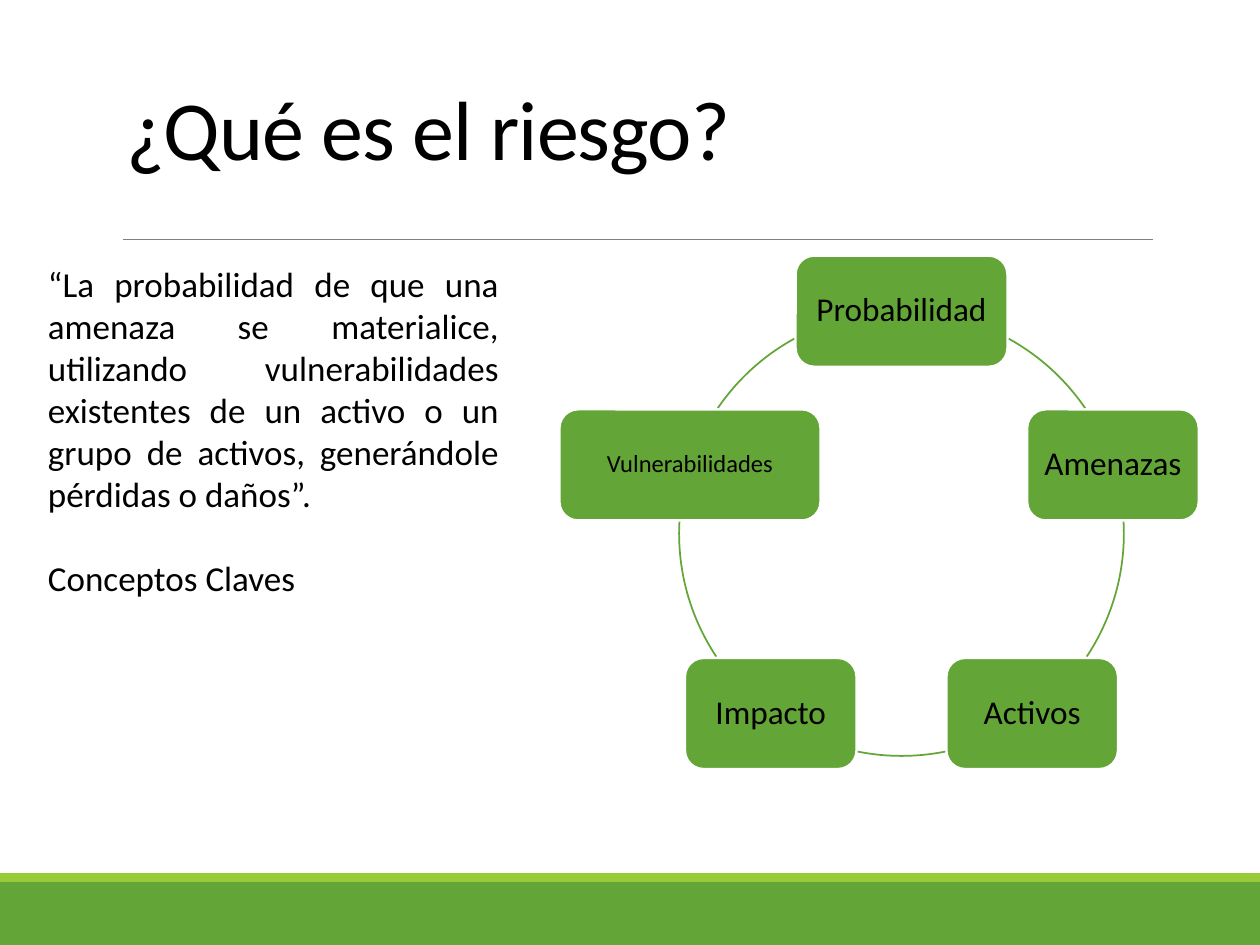
from math import cos, sin, radians

from pptx import Presentation
from pptx.dml.color import RGBColor
from pptx.enum.shapes import MSO_CONNECTOR as CONNECTOR, MSO_SHAPE as SHAPE
from pptx.enum.text import MSO_ANCHOR as ANCHOR, MSO_AUTO_SIZE as AUTO_SIZE, PP_ALIGN as ALIGN
from pptx.oxml.ns import qn
from pptx.util import Inches, Pt

GREEN = RGBColor(0x63, 0xA5, 0x37)
LIME = RGBColor(0x99, 0xCB, 0x38)
GRAY = RGBColor(0x80, 0x80, 0x80)
BLACK = RGBColor(0, 0, 0)
WHITE = RGBColor(0xFF, 0xFF, 0xFF)
FONT = "Calibri"

DEFINITION = (
    "“La probabilidad de que una amenaza se materialice, utilizando "
    "vulnerabilidades existentes de un activo o un grupo de activos, "
    "generándole pérdidas o daños”."
)
# Label, box width, text size; clockwise from the top
CONCEPTS = [
    ("Probabilidad", 1.68, 19),
    ("Amenazas", 1.36, 19),
    ("Activos", 1.36, 19),
    ("Impacto", 1.36, 19),
    ("Vulnerabilidades", 2.07, 14),
]
# Start and end angle of each arc, clockwise from the right
ARCS = [(298.8, 325.7), (356.9, 33.6), (78.6, 101.4), (146.4, 183.1), (214.3, 241.2)]


def place(shape, left, top, width, height):
    shape.left, shape.top = Inches(left), Inches(top)
    shape.width, shape.height = Inches(width), Inches(height)


def add_run(paragraph, text, size):
    run = paragraph.add_run()
    run.text = text
    run.font.name, run.font.size = FONT, Pt(size)
    run.font.color.rgb = BLACK
    return run


def add_block(slide, kind, left, top, width, height, fill):
    block = slide.shapes.add_shape(
        kind, Inches(left), Inches(top), Inches(width), Inches(height))
    block.shadow.inherit = False
    block.fill.solid()
    block.fill.fore_color.rgb = fill
    block.line.fill.background()
    return block


def add_frame(slide, width, height):
    # Footer bands
    add_block(slide, SHAPE.RECTANGLE, 0, height - 0.5, width, 0.5, GREEN)
    add_block(slide, SHAPE.RECTANGLE, 0, height - 0.57, width, 0.07, LIME)
    # Rule under the title
    rule = slide.shapes.add_connector(
        CONNECTOR.STRAIGHT, Inches(0.98), Inches(1.9), Inches(9.15), Inches(1.9))
    rule.line.color.rgb, rule.line.width = GRAY, Pt(0.5)
    properties = rule.line._get_or_add_ln().getparent()
    properties.append(properties.makeelement(qn("a:effectLst"), {}))


def fill_title(slide, left, top, width, height):
    title = slide.shapes.title
    place(title, left, top, width, height)
    frame = title.text_frame
    frame.auto_size, frame.vertical_anchor = AUTO_SIZE.NONE, ANCHOR.BOTTOM
    heading = frame.paragraphs[0]
    heading.alignment, heading.line_spacing = ALIGN.LEFT, 0.85
    run = add_run(heading, "¿Qué es el riesgo?", 48)
    run.font._element.set("spc", "-50")


def fill_definition(slide, left, top, width, height):
    body = slide.placeholders[1]
    place(body, left, top, width, height)
    frame = body.text_frame
    frame.auto_size = AUTO_SIZE.NONE
    for index, (text, gap) in enumerate([(DEFINITION, 0), ("Conceptos Claves", 24)]):
        paragraph = frame.add_paragraph() if index else frame.paragraphs[0]
        paragraph.alignment = ALIGN.JUSTIFY
        paragraph.space_before, paragraph.space_after = Pt(gap), Pt(0)
        # No bullet, no indent
        settings = paragraph._p.get_or_add_pPr()
        settings.set("marL", "0")
        settings.set("indent", "0")
        settings.append(settings.makeelement(qn("a:buNone"), {}))
        add_run(paragraph, text, 20)


def add_concept(slide, center_x, center_y, label, width, size):
    height = 0.88
    concept = add_block(slide, SHAPE.ROUNDED_RECTANGLE, center_x - width / 2,
                        center_y - height / 2, width, height, GREEN)
    concept.line.color.rgb, concept.line.width = WHITE, Pt(1.25)
    frame = concept.text_frame
    frame.word_wrap, frame.vertical_anchor = True, ANCHOR.MIDDLE
    inset = Inches(0.08)
    frame.margin_left = frame.margin_right = inset
    frame.margin_top = frame.margin_bottom = inset
    paragraph = frame.paragraphs[0]
    paragraph.alignment, paragraph.line_spacing = ALIGN.CENTER, 0.9
    add_run(paragraph, label, size)


def add_cycle(slide, left, top, diameter):
    radius = diameter / 2
    # Arcs between the concepts
    for angles in ARCS:
        arc = slide.shapes.add_shape(
            SHAPE.ARC, Inches(left), Inches(top), Inches(diameter), Inches(diameter))
        arc.shadow.inherit = False
        arc.fill.background()
        arc.line.color.rgb, arc.line.width = GREEN, Pt(1)
        for index, angle in enumerate(angles):
            arc.adjustments[index] = angle * 0.6  # 60000ths of a degree / 100000
    # Concepts evenly spaced on the circle
    for index, concept in enumerate(CONCEPTS):
        angle = radians(360 / len(CONCEPTS) * index - 90)
        add_concept(slide, left + radius * (1 + cos(angle)),
                    top + radius * (1 + sin(angle)), *concept)


def build():
    deck = Presentation()
    deck.slide_width, deck.slide_height = Inches(10), Inches(7.5)
    slide = deck.slides.add_slide(deck.slide_layouts[1])
    add_frame(slide, 10, 7.5)
    fill_title(slide, 0.9, 0.31, 8.25, 1.15)
    fill_definition(slide, 0.28, 2.03, 3.78, 4.14)
    add_cycle(slide, 5.39, 2.47, 3.53)
    deck.save("out.pptx")


build()
